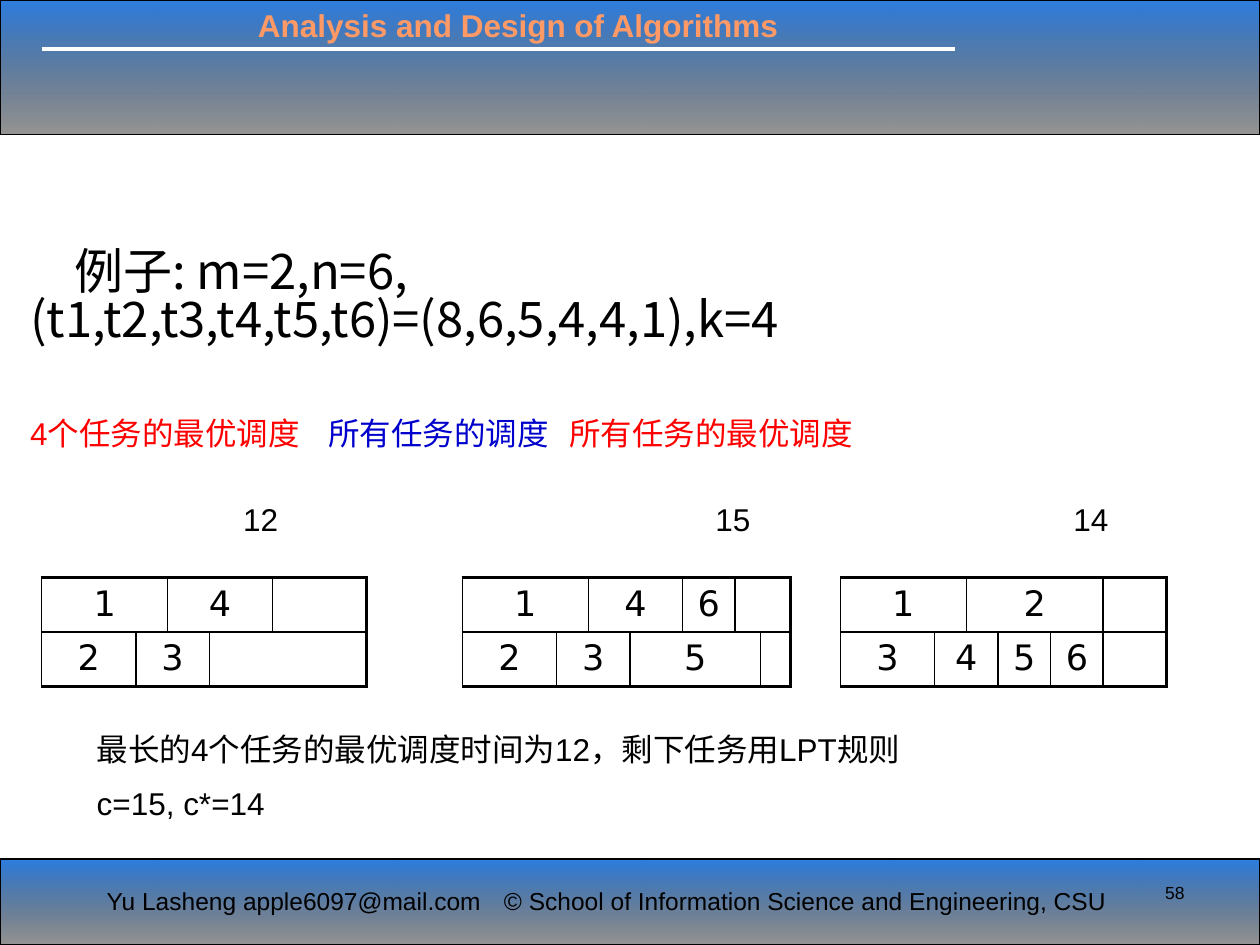
from dataclasses import dataclass

from lxml import etree
from pptx import Presentation
from pptx import util as u
from pptx.dml.color import RGBColor
from pptx.enum import shapes, text
from pptx.oxml import ns


@dataclass(frozen=True)
class Theme:
    latin: str = "Arial"
    chinese: str = "Noto Sans CJK SC"
    digits: str = "DejaVu Sans"
    black: str = "000000"
    white: str = "FFFFFF"
    band: str = "0E6BDC"
    orange: str = "FF9966"
    red: str = "FF0000"
    blue: str = "0000CC"
    example: float = 28
    task: float = 20
    body: float = 18
    footer: float = 14
    number: float = 10
    thin: float = 1
    thick: float = 2.25


THEME = Theme()
SLIDE_WIDTH, SLIDE_HEIGHT = 25.4, 19.05
ROW_HEIGHT = 1.1
TABLE_TOP = 11.64


def add_element(parent, tag, **attributes):
    return etree.SubElement(parent, ns.qn(tag), attributes)


def add_band(slide, top, height):
    shape = slide.shapes.add_shape(
        shapes.MSO_SHAPE.RECTANGLE, 0, u.Cm(top), u.Cm(SLIDE_WIDTH), u.Cm(height))
    shape.shadow.inherit = False
    shape.fill.gradient()
    shape.fill.gradient_angle = 270
    for stop, color in zip(shape.fill.gradient_stops, (THEME.band, THEME.black)):
        stop.color.rgb = RGBColor.from_string(color)
    stop_colors = shape.element.spPr.iter(ns.qn("a:srgbClr"))
    for color, alpha in zip(list(stop_colors), ("88000", "41000")):
        add_element(color, "a:alpha", val=alpha)
    shape.line.color.rgb = RGBColor.from_string(THEME.black)
    shape.line.width = u.Pt(0.75)


def add_rule(slide, left, right, top):
    connector = slide.shapes.add_connector(
        shapes.MSO_CONNECTOR.STRAIGHT, u.Cm(left), u.Cm(top), u.Cm(right), u.Cm(top))
    connector.line.color.rgb = RGBColor.from_string(THEME.white)
    connector.line.width = u.Pt(THEME.thick)
    add_element(connector.element.spPr, "a:effectLst")


def write(paragraph, content, size=THEME.body, font=THEME.latin,
          color=THEME.black, bold=False):
    for position, line in enumerate(content.split("\n")):
        if position:
            paragraph.add_line_break()
        run = paragraph.add_run()
        run.text = line
        run.font.size = u.Pt(size)
        run.font.name = font
        run.font.bold = bold
        run.font.color.rgb = RGBColor.from_string(color)
        add_element(run.font._element, "a:ea", typeface=THEME.chinese)


def add_box(slide, left, top, width, height, wrap=True):
    box = slide.shapes.add_textbox(u.Cm(left), u.Cm(top), u.Cm(width), u.Cm(height))
    box.text_frame.word_wrap = wrap
    return box.text_frame


def add_label(slide, content, place, wrap=True, align=text.PP_ALIGN.LEFT, **style):
    paragraph = add_box(slide, *place, wrap=wrap).paragraphs[0]
    paragraph.alignment = align
    write(paragraph, content, **style)


def add_example(slide):
    frame = add_box(slide, 0.36, 4.93, 24.56, 5.26)
    problem = frame.paragraphs[0]
    problem.line_spacing = 0.82
    problem._p.get_or_add_pPr().set("indent", str(u.Cm(0.89)))
    write(problem, "例子: m=2,n=6,\n(t1,t2,t3,t4,t5,t6)=(8,6,5,4,4,1),k=4",
          size=THEME.example, font=THEME.chinese)

    headings = frame.add_paragraph()
    headings.space_before = u.Pt(38)
    tabs = add_element(headings._p.get_or_add_pPr(), "a:tabLst")
    for position in (6.01, 10.87):
        add_element(tabs, "a:tab", pos=str(u.Cm(position)), algn="l")
    write(headings, "4个任务的最优调度\t", color=THEME.red)
    write(headings, "所有任务的调度\t", color=THEME.blue)
    write(headings, "所有任务的最优调度", color=THEME.red)


def add_conclusion(slide):
    frame = add_box(slide, 1.7, 14.6, 22.86, 2.79)
    write(frame.paragraphs[0], "最长的4个任务的最优调度时间为12，剩下任务用LPT规则")
    result = frame.add_paragraph()
    result.space_before = u.Pt(THEME.body / 2)
    write(result, "c=15, c*=14")


def set_borders(cell, **widths):
    properties = cell._tc.get_or_add_tcPr()
    for side in "LRTB":
        line = add_element(properties, f"a:ln{side}", w=str(u.Pt(widths[side])))
        fill = add_element(line, "a:solidFill")
        add_element(fill, "a:srgbClr", val=THEME.black)
    cell.fill.background()


def add_schedule(slide, left, widths, machines):
    table = slide.shapes.add_table(
        len(machines), len(widths), u.Cm(left), u.Cm(TABLE_TOP),
        u.Cm(sum(widths)), u.Cm(ROW_HEIGHT * len(machines))).table
    table.first_row = table.horz_banding = False
    for column, width in zip(table.columns, widths):
        column.width = u.Cm(width)
    for row, tasks in enumerate(machines):
        table.rows[row].height = u.Cm(ROW_HEIGHT)
        start = 0
        for task, span in tasks:
            end = start + span
            cell = table.cell(row, start)
            if span > 1:
                cell.merge(table.cell(row, end - 1))
            for column in range(start, end):
                set_borders(
                    table.cell(row, column),
                    L=THEME.thin,
                    R=THEME.thick if end == len(widths) else THEME.thin,
                    T=THEME.thick if row == 0 else THEME.thin,
                    B=THEME.thick if row == len(machines) - 1 else THEME.thin)
            paragraph = cell.text_frame.paragraphs[0]
            paragraph.alignment = text.PP_ALIGN.CENTER
            if task:
                write(paragraph, task, size=THEME.task, font=THEME.digits)
            start = end


def main():
    presentation = Presentation()
    presentation.slide_width = u.Cm(SLIDE_WIDTH)
    presentation.slide_height = u.Cm(SLIDE_HEIGHT)
    slide = presentation.slides.add_slide(presentation.slide_layouts[6])

    add_band(slide, 0, 2.72)
    add_band(slide, 17.32, 1.73)
    add_rule(slide, 0.84, 19.25, 0.99)
    add_label(slide, "Analysis and Design of Algorithms", (4.95, 0, 12.7, 1.02),
              color=THEME.orange, bold=True)
    add_label(slide, "Yu Lasheng apple6097@mail.com", (1.9, 17.73, 8.15, 0.86),
              wrap=False, size=THEME.footer)
    add_label(slide, "© School of Information Science and Engineering, CSU",
              (9.91, 17.73, 13, 0.86), wrap=False, size=THEME.footer)
    add_label(slide, "58", (21.89, 17.65, 2.24, 1.27),
              align=text.PP_ALIGN.RIGHT, size=THEME.number)

    add_example(slide)
    schedules = (
        ("12", 4.65, 0.84, (1.9, 0.64, 0.84, 1.27, 1.9),
         ((("1", 2), ("4", 2), ("", 1)),
          (("2", 1), ("3", 2), ("", 2)))),
        ("15", 14.17, 9.32, (1.9, 0.64, 0.84, 1.06, 1.06, 0.51, 0.58),
         ((("1", 2), ("4", 2), ("6", 1), ("", 2)),
          (("2", 1), ("3", 2), ("5", 3), ("", 1)))),
        ("14", 21.39, 16.94, (1.9, 0.64, 0.64, 1.06, 1.06, 1.27),
         ((("1", 2), ("2", 3), ("", 1)),
          (("3", 1), ("4", 2), ("5", 1), ("6", 1), ("", 1)))),
    )
    for finish, finish_left, left, widths, machines in schedules:
        add_label(slide, finish, (finish_left, 9.96, 1.9, 1.27))
        add_schedule(slide, left, widths, machines)
    add_conclusion(slide)

    presentation.save("out.pptx")


if __name__ == "__main__":
    main()
